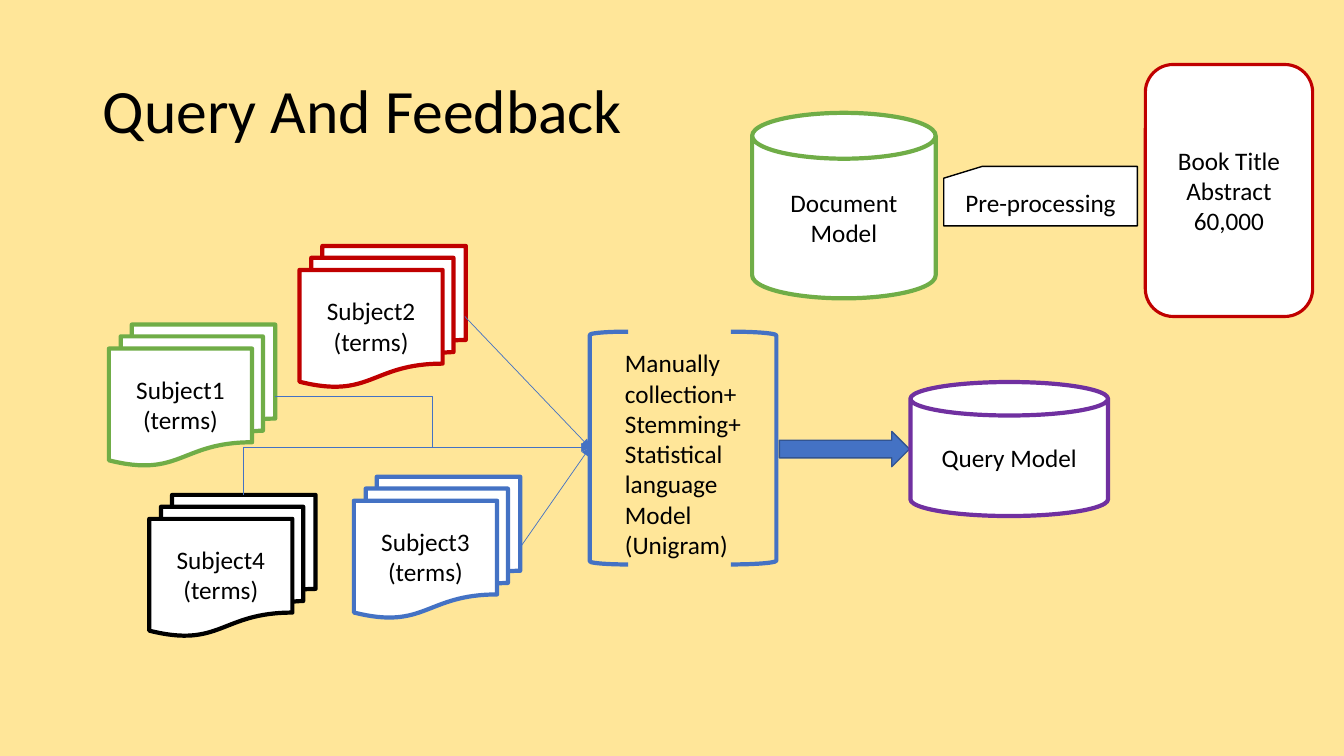
"""Builds the query and feedback flow slide."""
from lxml import etree
from pptx import Presentation
from pptx.dml.color import RGBColor
from pptx.enum.shapes import MSO_CONNECTOR, MSO_SHAPE
from pptx.enum.text import MSO_ANCHOR, MSO_AUTO_SIZE, PP_ALIGN
from pptx.oxml.ns import qn
from pptx.util import Inches, Pt

LEFT, CENTER = PP_ALIGN.LEFT, PP_ALIGN.CENTER
TOP, MIDDLE = MSO_ANCHOR.TOP, MSO_ANCHOR.MIDDLE
NO_FIT = MSO_AUTO_SIZE.NONE
STRAIGHT, ELBOW = MSO_CONNECTOR.STRAIGHT, MSO_CONNECTOR.ELBOW
DOCUMENTS, CYLINDER = MSO_SHAPE.FLOWCHART_MULTIDOCUMENT, MSO_SHAPE.CAN
LEFT_BRACKET, RIGHT_BRACKET = MSO_SHAPE.LEFT_BRACKET, MSO_SHAPE.RIGHT_BRACKET
ARROW, ROUNDED = MSO_SHAPE.RIGHT_ARROW, MSO_SHAPE.ROUNDED_RECTANGLE
CARD = MSO_SHAPE.FLOWCHART_CARD

SAND, WHITE, BLACK = "FFE699", "FFFFFF", "000000"
GREEN, RED, BLUE, NAVY, PURPLE = "70AD47", "C00000", "4472C4", "325491", "7030A0"


def color(value):
    """Turn a hex string into a colour."""
    return RGBColor.from_string(value)


def write(frame, lines, size=18, align=CENTER, anchor=MIDDLE, spacing=1.0):
    """Fill a text frame with one paragraph per line."""
    frame.word_wrap = True
    frame.auto_size = NO_FIT
    frame.vertical_anchor = anchor
    for index, line in enumerate(lines):
        para = frame.add_paragraph() if index else frame.paragraphs[0]
        para.alignment = align
        para.line_spacing = spacing
        span = para.add_run()
        span.text = line
        span.font.name = "Calibri"
        span.font.size = Pt(size)
        span.font.color.rgb = color(BLACK)


class FlowSlide:
    """Holds the shared style and the current slide."""

    def __init__(self, deck, background):
        """Add a title-only slide with a plain background."""
        self.slide = deck.slides.add_slide(deck.slide_layouts[5])
        self.slide.background.fill.solid()
        self.slide.background.fill.fore_color.rgb = color(background)

    def title(self, text, left, top, width, height):
        """Move and fill the title placeholder."""
        box = self.slide.shapes.title
        box.left, box.top = Inches(left), Inches(top)
        box.width, box.height = Inches(width), Inches(height)
        write(box.text_frame, [text], size=44, align=LEFT, spacing=0.9)

    def text(self, lines, left, top, width, height):
        """Add a left-aligned text box."""
        box = self.slide.shapes.add_textbox(
            Inches(left), Inches(top), Inches(width), Inches(height))
        write(box.text_frame, lines, align=LEFT, anchor=TOP)

    def shape(self, kind, left, top, width, height, line, weight=3, fill=WHITE, lines=()):
        """Add an outlined shape with optional centred text."""
        shape = self.slide.shapes.add_shape(
            kind, Inches(left), Inches(top), Inches(width), Inches(height))
        shape.shadow.inherit = False
        if fill:
            shape.fill.solid()
            shape.fill.fore_color.rgb = color(fill)
        else:
            shape.fill.background()
        shape.line.color.rgb = color(line)
        shape.line.width = Pt(weight)
        write(shape.text_frame, lines)

    def connector(self, start, end, kind=STRAIGHT):
        """Add a thin line with an arrowhead at its end."""
        connector = self.slide.shapes.add_connector(
            kind, *(Inches(value) for value in (*start, *end)))
        connector.line.color.rgb = color(BLUE)
        connector.line.width = Pt(0.5)
        properties = connector.element.spPr
        outline = properties.find(qn("a:ln"))
        etree.SubElement(outline, qn("a:tailEnd")).set("type", "triangle")
        etree.SubElement(properties, qn("a:effectLst"))
        return connector

    def corner(self, start, end):
        """Add a one-bend connector that rises and then runs right."""
        middle_x, middle_y = (start[0] + end[0]) / 2, (start[1] + end[1]) / 2
        half_run, half_rise = (end[0] - start[0]) / 2, (start[1] - end[1]) / 2
        connector = self.connector(
            (middle_x + half_rise, middle_y + half_run),
            (middle_x - half_rise, middle_y - half_run), ELBOW)
        properties = connector.element.spPr
        properties.find(qn("a:xfrm")).set("rot", "5400000")
        properties.find(qn("a:prstGeom")).set("prst", "bentConnector2")


def main():
    """Build and save the deck."""
    deck = Presentation()
    deck.slide_width, deck.slide_height = Inches(13.33), Inches(7.5)
    page = FlowSlide(deck, SAND)
    page.title("Query And Feedback", 0.92, 0.4, 5.54, 1.45)

    subjects = [(1, 1.08, 3.22, GREEN), (4, 1.48, 4.91, BLACK),
                (2, 2.97, 2.44, RED), (3, 3.51, 4.73, BLUE)]
    for number, left, top, line in subjects:
        page.shape(DOCUMENTS, left, top, 1.65, 1.4, line,
                   lines=[f"Subject{number}", "(terms)"])

    page.shape(LEFT_BRACKET, 5.85, 3.29, 0.38, 2.31, BLUE, fill=None)
    page.shape(RIGHT_BRACKET, 7.25, 3.29, 0.45, 2.31, BLUE, fill=None)
    page.text(["Manually collection+", "Stemming+",
               "Statistical language Model (Unigram)"], 6.1, 3.4, 1.35, 2.83)
    page.shape(ARROW, 7.73, 4.28, 1.29, 0.35, NAVY, weight=1, fill=BLUE)
    page.shape(CYLINDER, 9.03, 3.79, 1.96, 1.33, PURPLE, lines=["Query Model"])
    page.shape(CYLINDER, 7.46, 1.12, 1.82, 1.84, GREEN, lines=["Document Model"])

    target = (5.85, 4.44)
    page.connector((2.73, 3.93), target, ELBOW)
    page.connector((4.61, 3.14), target)
    page.connector((5.16, 5.43), target)
    page.corner((2.41, 4.91), target)

    page.shape(ROUNDED, 11.36, 0.64, 1.66, 2.5, RED, weight=2.25,
               lines=["Book Title", "Abstract", "60,000"])
    page.shape(CARD, 9.36, 1.65, 1.92, 0.59, BLACK, weight=1, lines=["Pre-processing"])
    deck.save("out.pptx")


if __name__ == "__main__":
    main()
